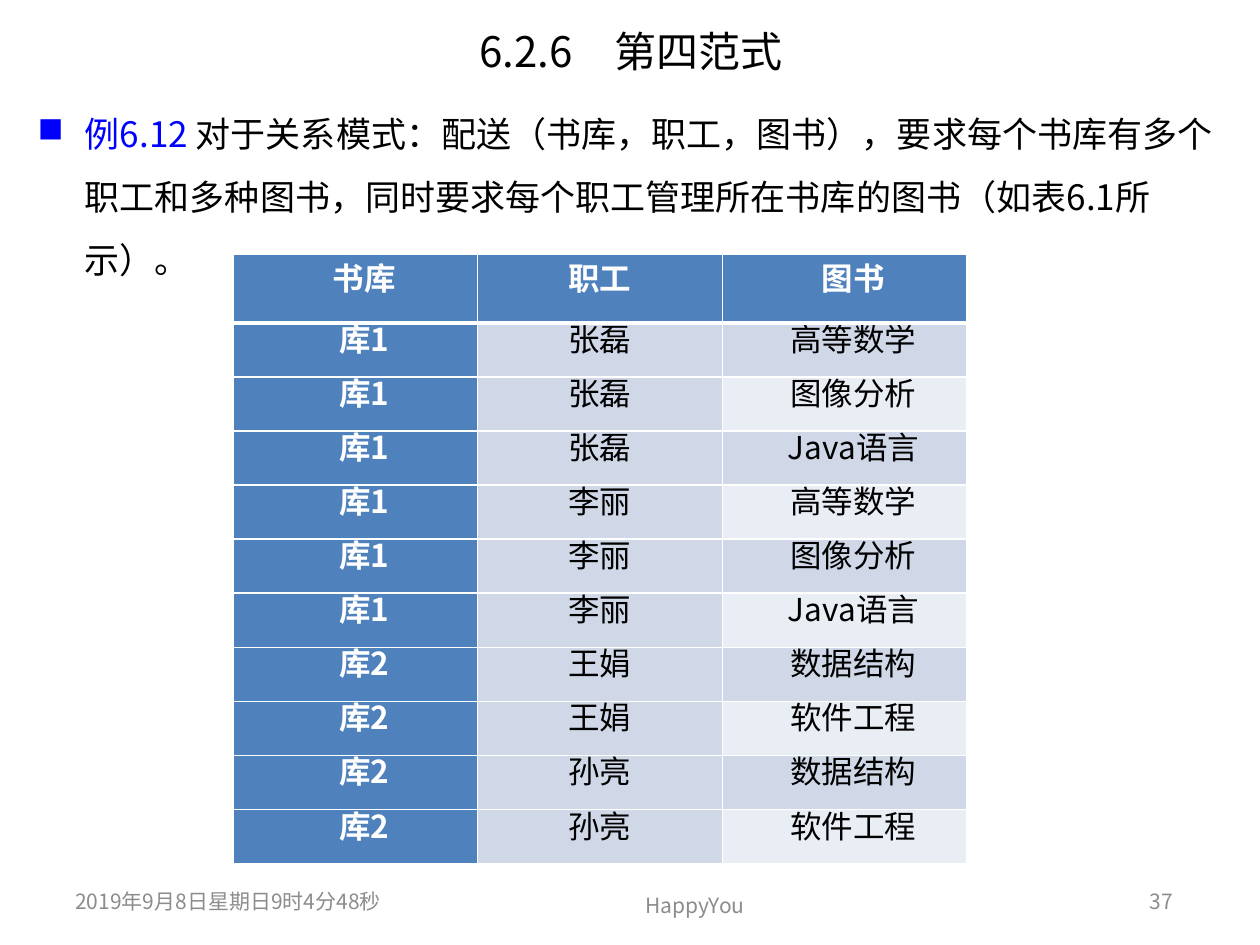
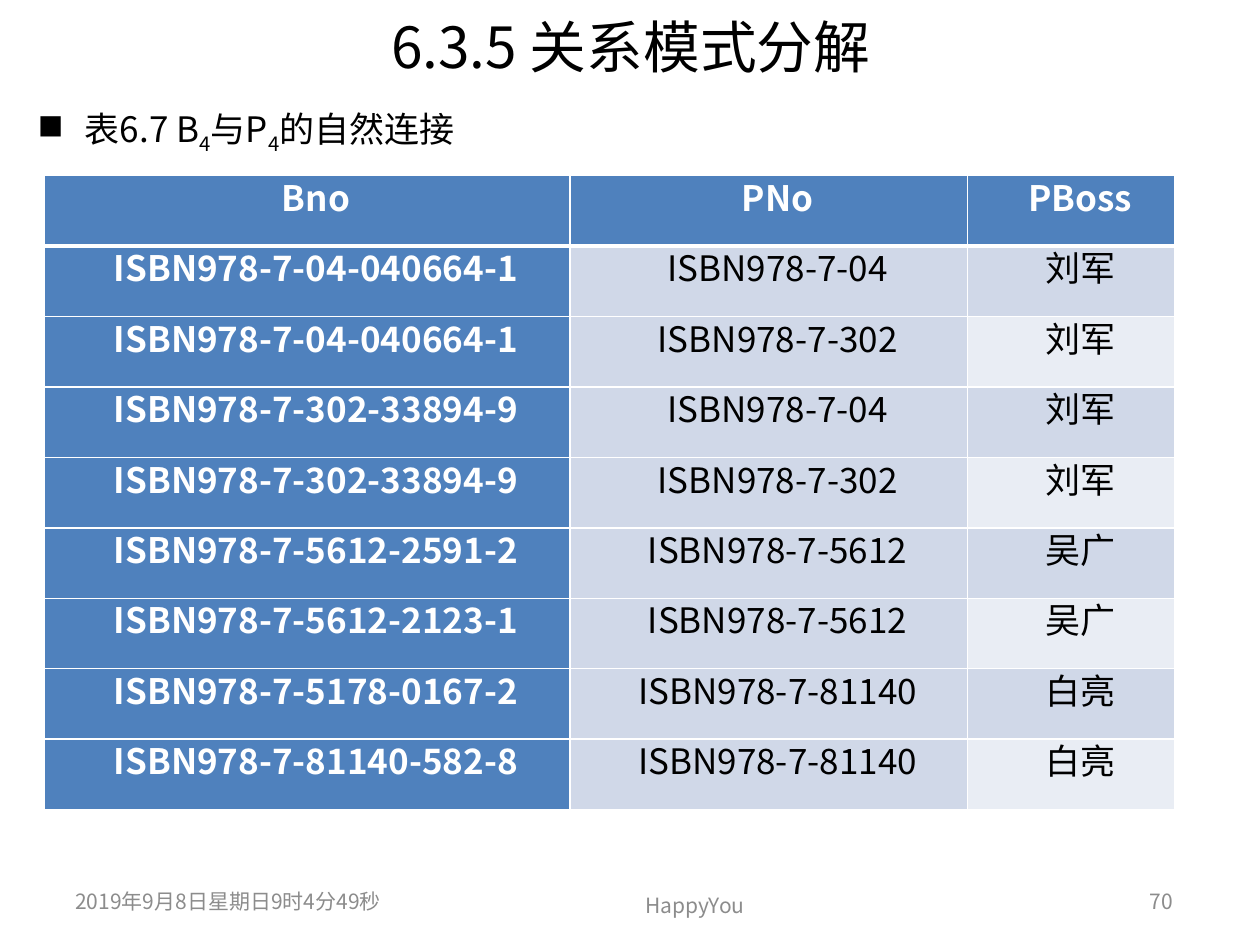
"""Build two lecture slides on relational normal forms, each with a table."""
from lxml.etree import SubElement
from pptx import Presentation
from pptx.dml.color import RGBColor as Color
from pptx.enum.text import MSO_ANCHOR as Anchor, PP_ALIGN as Align
from pptx.oxml.ns import qn
from pptx.util import Cm, Pt

FONT = "Noto Sans CJK SC"
COLORS = {
    "text": "000000",
    "example": "0000FF",
    "footer": "8C8C8C",
    "white": "FFFFFF",
    "header": "4F81BD",
    "band": "D0D8E8",
    "light": "E9EDF4",
}


def add_run(paragraph, text, size, color="text", bold=False, baseline=0):
    run = paragraph.add_run()
    run.text = text
    run.font.size = Pt(size)
    run.font.bold = bold
    run.font.color.rgb = Color.from_string(COLORS[color])
    run.font.name = FONT
    properties = run.font._element
    SubElement(properties, qn("a:ea"), typeface=FONT)
    if baseline:
        properties.set("baseline", str(baseline))


def add_box(slide, left, top, width, height, align=Align.LEFT, anchor=Anchor.MIDDLE):
    frame = slide.shapes.add_textbox(Cm(left), Cm(top), Cm(width), Cm(height)).text_frame
    frame.word_wrap = True
    frame.vertical_anchor = anchor
    paragraph = frame.paragraphs[0]
    paragraph.alignment = align
    return paragraph


slides = [
    {
        "title": "6.2.6　第四范式",
        "title_size": 24,
        "title_height": 1.37,
        "body_size": (24.21, 4.39),
        "body": [
            ("例6.12 ", "example", 0),
            ("对于关系模式：配送（书库，职工，图书），要求每个书库有多个职工和多种图书，"
             "同时要求每个职工管理所在书库的图书（如表6.1所示）。", "text", 0),
        ],
        "date": "2019年9月8日星期日9时4分48秒",
        "number": "37",
        "table_place": (4.7, 5.13),
        "columns": [4.93, 4.93, 4.93],
        "indents": [0.36, -0.05, 0.36],
        "header_height": 1.38,
        "row_height": 1.09,
        "cell_size": 18,
        "rows": [
            ("书库", "职工", "图书"),
            ("库1", "张磊", "高等数学"),
            ("库1", "张磊", "图像分析"),
            ("库1", "张磊", "Java语言"),
            ("库1", "李丽", "高等数学"),
            ("库1", "李丽", "图像分析"),
            ("库1", "李丽", "Java语言"),
            ("库2", "王娟", "数据结构"),
            ("库2", "王娟", "软件工程"),
            ("库2", "孙亮", "数据结构"),
            ("库2", "孙亮", "软件工程"),
        ],
    },
    {
        "title": "6.3.5 关系模式分解",
        "title_size": 32.4,
        "title_height": 1.17,
        "body_size": (11.51, 1.6),
        "body": [
            ("表6.7 B", "text", 0),
            ("4", "text", -25000),
            ("与P", "text", 0),
            ("4", "text", -25000),
            ("的自然连接", "text", 0),
        ],
        "date": "2019年9月8日星期日9时4分49秒",
        "number": "70",
        "table_place": (0.89, 3.54),
        "columns": [10.6, 8.01, 4.19],
        "indents": [0.36, 0.36, 0.36],
        "header_height": 1.42,
        "row_height": 1.42,
        "cell_size": 20,
        "rows": [
            ("Bno", "PNo", "PBoss"),
            ("ISBN978-7-04-040664-1", "ISBN978-7-04", "刘军"),
            ("ISBN978-7-04-040664-1", "ISBN978-7-302", "刘军"),
            ("ISBN978-7-302-33894-9", "ISBN978-7-04", "刘军"),
            ("ISBN978-7-302-33894-9", "ISBN978-7-302", "刘军"),
            ("ISBN978-7-5612-2591-2", "ISBN978-7-5612", "吴广"),
            ("ISBN978-7-5612-2123-1", "ISBN978-7-5612", "吴广"),
            ("ISBN978-7-5178-0167-2", "ISBN978-7-81140", "白亮"),
            ("ISBN978-7-81140-582-8", "ISBN978-7-81140", "白亮"),
        ],
    },
]

presentation = Presentation()
presentation.slide_width = Cm(25.4)
presentation.slide_height = Cm(19.05)

for content in slides:
    slide = presentation.slides.add_slide(presentation.slide_layouts[6])

    title = add_box(slide, 1.3, 0.33, 22.83, content["title_height"], Align.CENTER)
    add_run(title, content["title"], content["title_size"])

    body = add_box(slide, 0.51, 1.73, *content["body_size"], anchor=Anchor.TOP)
    body.line_spacing = Pt(36)
    properties = body._p.get_or_add_pPr()
    properties.set("marL", str(Cm(0.95)))
    properties.set("indent", str(Cm(-0.95)))
    SubElement(properties, qn("a:buFont"), typeface="Wingdings", charset="2")
    SubElement(properties, qn("a:buChar"), char="n")
    for text, color, baseline in content["body"]:
        add_run(body, text, 20, color, baseline=baseline)

    footers = [
        (content["date"], 1.27, 17.65, 7.62, Align.LEFT),
        ("HappyYou", 10.9, 17.73, 6.22, Align.CENTER),
        (content["number"], 18.21, 17.65, 5.69, Align.RIGHT),
    ]
    for text, left, top, width, align in footers:
        add_run(add_box(slide, left, top, width, 1.02, align), text, 12, "footer")

    rows, columns = content["rows"], content["columns"]
    heights = [content["header_height"]] + [content["row_height"]] * (len(rows) - 1)
    left, top = content["table_place"]
    table = slide.shapes.add_table(
        len(rows), len(columns), Cm(left), Cm(top), Cm(sum(columns)), Cm(sum(heights))
    ).table
    for column, width in zip(table.columns, columns):
        column.width = Cm(width)
    for row, height in zip(table.rows, heights):
        row.height = Cm(height)

    for row_index, values in enumerate(rows):
        for column_index, value in enumerate(values):
            cell = table.cell(row_index, column_index)
            is_heading = row_index == 0 or column_index == 0
            if is_heading:
                fill = "header"
            elif column_index == 1 or row_index % 2:
                fill = "band"
            else:
                fill = "light"

            cell.margin_left = cell.margin_right = Cm(0.05)
            cell.margin_top = cell.margin_bottom = 0
            cell.vertical_anchor = Anchor.MIDDLE
            thick_edge = {0: "lnB", 1: "lnT"}.get(row_index)
            for edge in ("lnL", "lnR", "lnT", "lnB"):
                line_width = Pt(3 if edge == thick_edge else 1)
                line = SubElement(cell._tc.get_or_add_tcPr(), qn(f"a:{edge}"), w=str(line_width))
                SubElement(SubElement(line, qn("a:solidFill")), qn("a:srgbClr"), val=COLORS["white"])
            cell.fill.solid()
            cell.fill.fore_color.rgb = Color.from_string(COLORS[fill])

            paragraph = cell.text_frame.paragraphs[0]
            paragraph.alignment = Align.CENTER
            paragraph.line_spacing = Pt(12)
            paragraph._p.get_or_add_pPr().set("indent", str(Cm(content["indents"][column_index])))
            add_run(paragraph, value, content["cell_size"], "white" if is_heading else "text", is_heading)

presentation.save("out.pptx")
